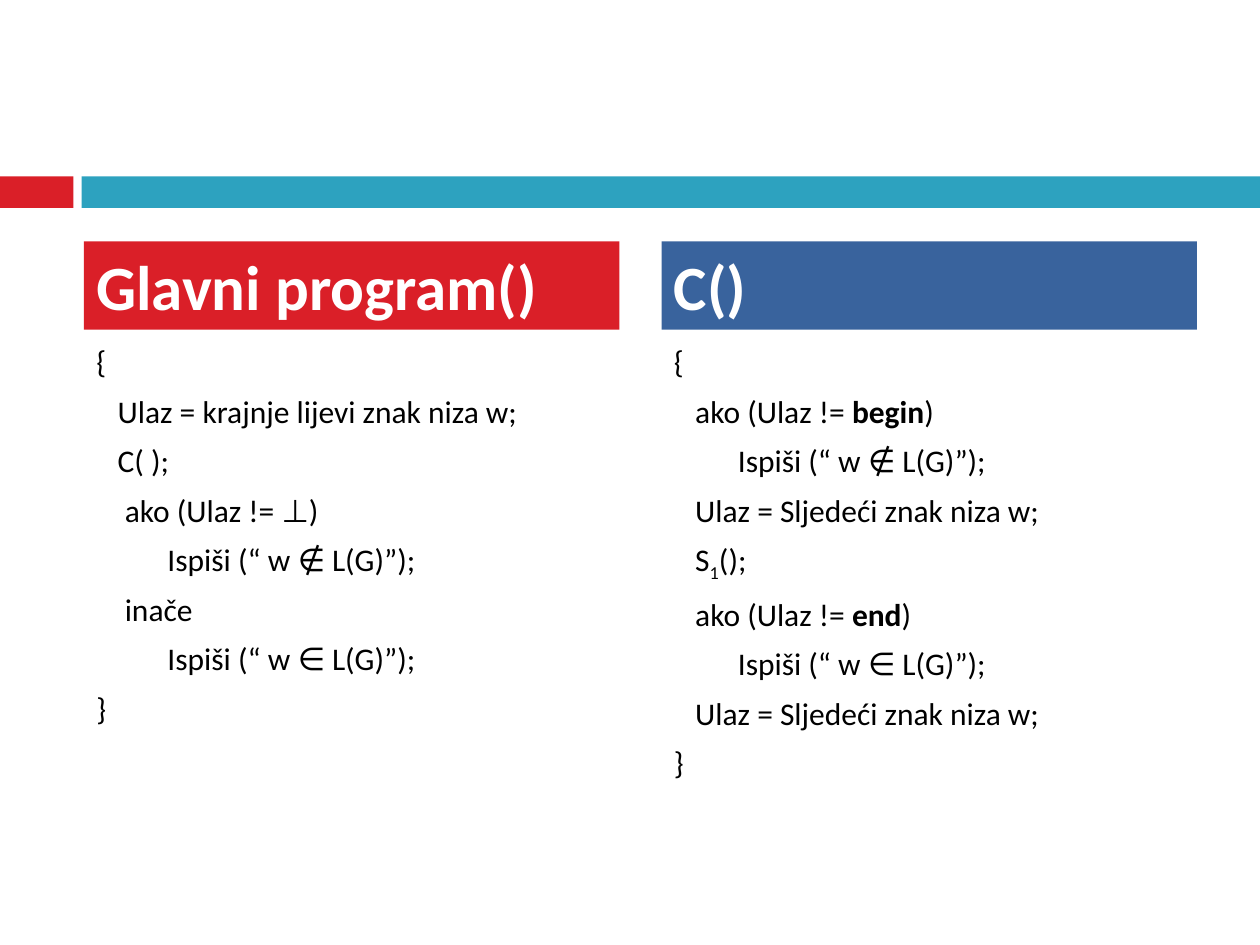
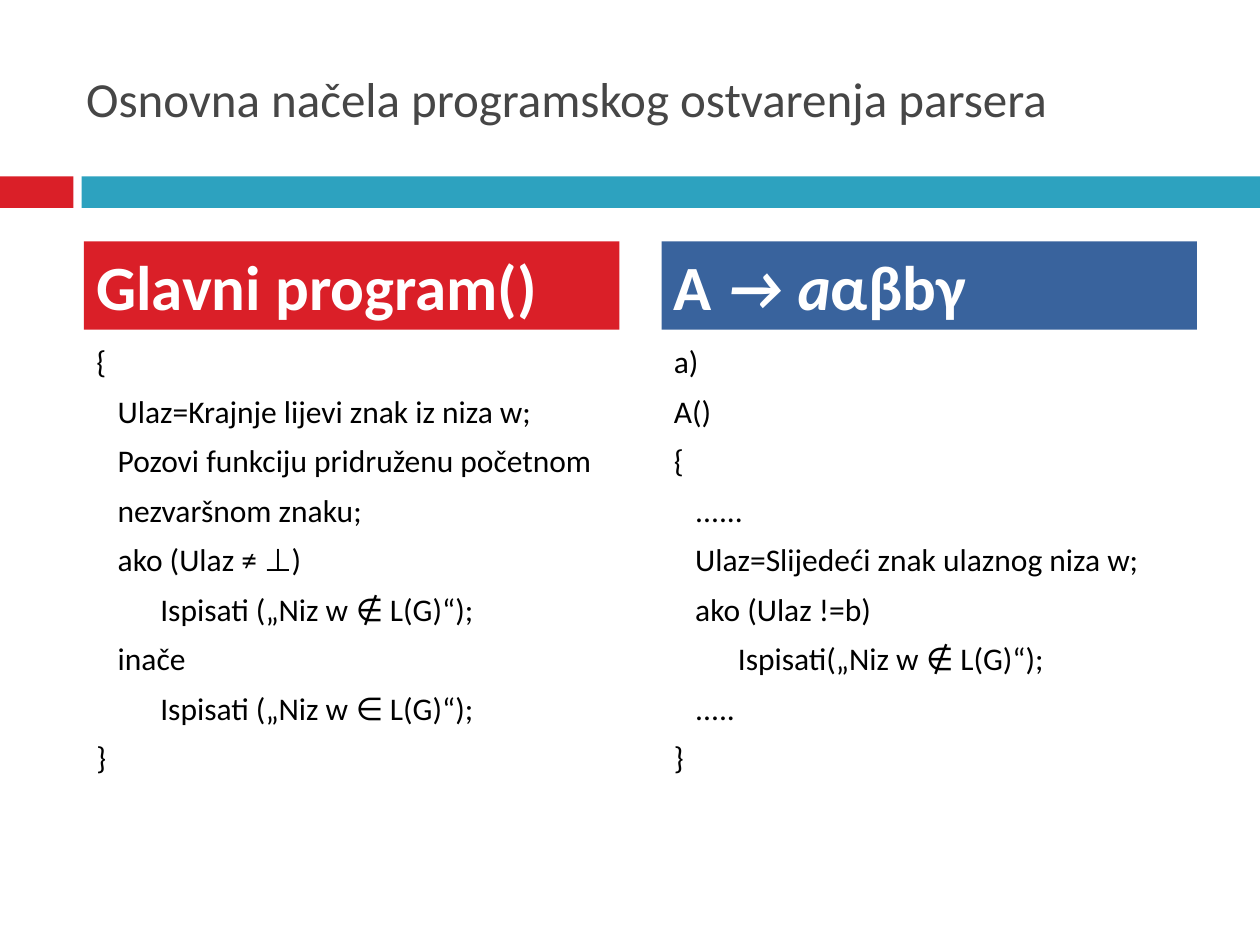
from pptx import Presentation
from pptx.dml.color import RGBColor
from pptx.enum import shapes, text
from pptx.util import Pt

RED = RGBColor(0xDA, 0x1F, 0x28)
TEAL = RGBColor(0x2D, 0xA2, 0xBF)
BLUE = RGBColor(0x39, 0x63, 0x9D)
GREY = RGBColor(0x46, 0x46, 0x46)
BLACK = RGBColor(0, 0, 0)
WHITE = RGBColor(0xFF, 0xFF, 0xFF)

FONT = "Calibri"
WIDTH, HEIGHT = 720, 540
TITLE_ONLY, BLANK = 5, 6
COLUMN_LEFTS = (48, 378)
COLUMN_COLORS = (RED, BLUE)
COLUMN_WIDTH = 306
HEADER_TOP, HEADER_HEIGHT = 138, 50.4
CODE_TOP, CODE_HEIGHT = 192, 282
BOLD, ITALIC, SUB = "bold", "italic", "sub"


class Deck:
    def __init__(self):
        self.prs = Presentation()
        self.prs.slide_width, self.prs.slide_height = Pt(WIDTH), Pt(HEIGHT)
        self.slide = None

    def add_slide(self, title=None):
        layout = self.prs.slide_layouts[TITLE_ONLY if title else BLANK]
        self.slide = self.prs.slides.add_slide(layout)
        self.rect(0, 100.8, 42, 18, RED)
        self.rect(46.6, 100.8, WIDTH - 46.6, 18, TEAL)
        if title:
            sp = self.slide.shapes.title
            sp.left, sp.top, sp.width, sp.height = Pt(42), Pt(21.6), Pt(642), Pt(68.4)
            self.set_text(sp, [[title]], 28, GREY, text.MSO_ANCHOR.MIDDLE)

    def rect(self, left, top, width, height, color):
        sp = self.slide.shapes.add_shape(
            shapes.MSO_SHAPE.RECTANGLE, Pt(left), Pt(top), Pt(width), Pt(height))
        sp.shadow.inherit = False
        sp.fill.solid()
        sp.fill.fore_color.rgb = color
        sp.line.fill.background()
        return sp

    def set_text(self, sp, lines, size, color, anchor, bold=False, gap=0):
        """Fill a shape; a line is a list of strings or (string, style) pairs."""
        tf = sp.text_frame
        tf.word_wrap = True
        tf.auto_size = text.MSO_AUTO_SIZE.NONE
        tf.vertical_anchor = anchor
        for i, line in enumerate(lines):
            p = tf.add_paragraph() if i else tf.paragraphs[0]
            p.alignment = text.PP_ALIGN.LEFT
            p.space_before = Pt(gap if i else 0)
            for part in line:
                words, style = (part, None) if isinstance(part, str) else part
                r = p.add_run()
                r.text = words
                r.font.name, r.font.size = FONT, Pt(size)
                r.font.color.rgb = color
                r.font.bold = bold or style == BOLD
                r.font.italic = style == ITALIC
                if style == SUB:
                    r.font._element.set("baseline", "-25000")

    def column(self, index, header, code):
        left = COLUMN_LEFTS[index]
        sp = self.rect(left, HEADER_TOP, COLUMN_WIDTH, HEADER_HEIGHT,
                       COLUMN_COLORS[index])
        self.set_text(sp, [header], 36, WHITE, text.MSO_ANCHOR.MIDDLE, bold=True)
        box = self.slide.shapes.add_textbox(
            Pt(left), Pt(CODE_TOP), Pt(COLUMN_WIDTH), Pt(CODE_HEIGHT))
        lines = [[line] if isinstance(line, str) else line for line in code]
        self.set_text(box, lines, 18, BLACK, text.MSO_ANCHOR.TOP, gap=6.7)


def main():
    deck = Deck()

    deck.add_slide()
    deck.column(0, ["Glavni program()"], [
        "{",
        "   Ulaz = krajnje lijevi znak niza w;",
        "   C( );",
        "    ako (Ulaz != ⊥)",
        "          Ispiši (“ w ∉ L(G)”);",
        "    inače",
        "          Ispiši (“ w ∈ L(G)”);",
        "}",
    ])
    deck.column(1, ["C()"], [
        "{",
        ["   ako (Ulaz != ", ("begin", BOLD), ")"],
        "         Ispiši (“ w ∉ L(G)”);",
        "   Ulaz = Sljedeći znak niza w;",
        ["   S", ("1", SUB), "();"],
        ["   ako (Ulaz != ", ("end", BOLD), ")"],
        "         Ispiši (“ w ∈ L(G)”);",
        "   Ulaz = Sljedeći znak niza w;",
        "}",
    ])

    deck.add_slide("Osnovna načela programskog ostvarenja parsera")
    deck.column(0, ["Glavni program()"], [
        "{",
        "   Ulaz=Krajnje lijevi znak iz niza w;",
        "   Pozovi funkciju pridruženu početnom",
        "   nezvaršnom znaku;",
        "   ako (Ulaz ≠ ⊥)",
        "         Ispisati („Niz w ∉ L(G)“);",
        "   inače",
        "         Ispisati („Niz w ∈ L(G)“);",
        "}",
    ])
    deck.column(1, ["A", (" → a", ITALIC), "αβbγ"], [
        "a)",
        "A()",
        "{",
        "   ......",
        "   Ulaz=Slijedeći znak ulaznog niza w;",
        "   ako (Ulaz !=b)",
        "         Ispisati(„Niz w ∉ L(G)“);",
        "   .....",
        "}",
    ])

    deck.prs.save("out.pptx")


if __name__ == "__main__":
    main()
